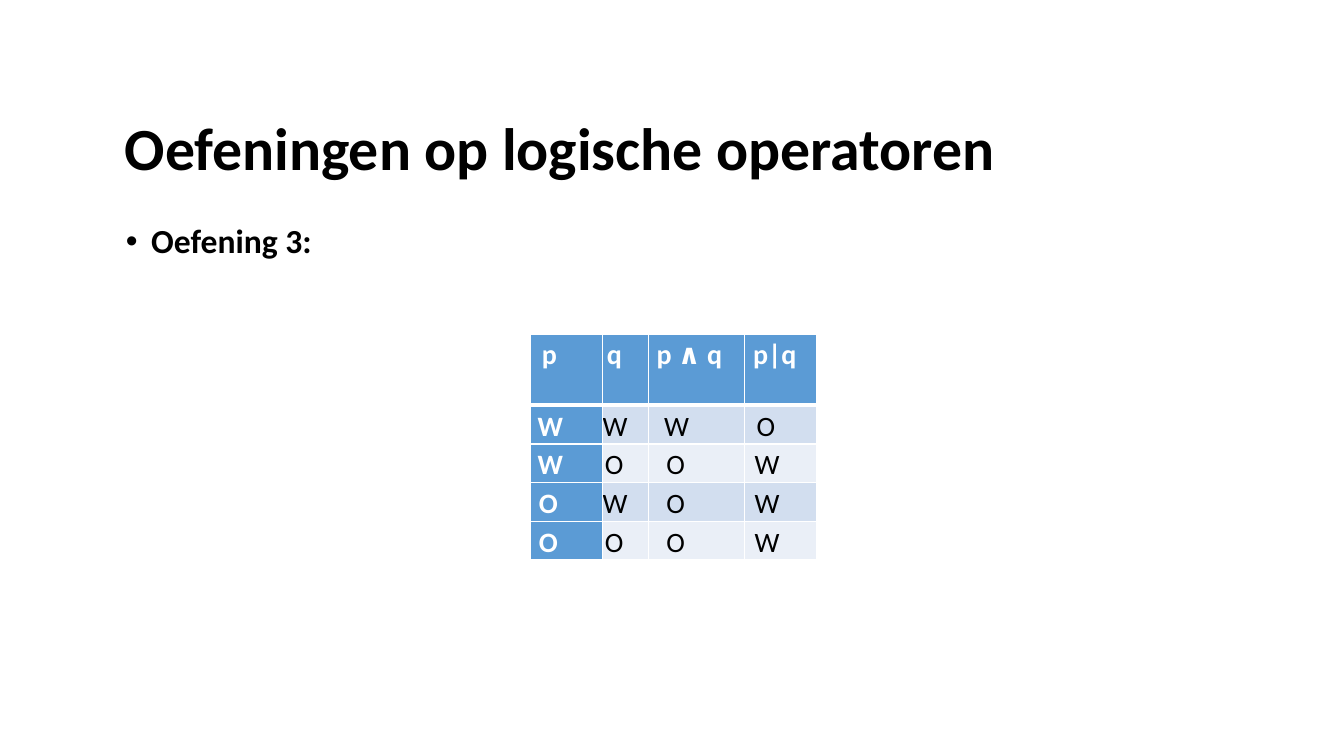
from lxml.etree import SubElement
from pptx import Presentation
from pptx.dml.color import RGBColor
from pptx.enum.text import MSO_ANCHOR, PP_ALIGN
from pptx.oxml.ns import qn
from pptx.util import Pt

BLUE, BAND, PALE, WHITE, BLACK = "5B9BD5", "D2DEEF", "EAEFF7", "FFFFFF", "000000"
ROWS = [
    ["p", "q", "p ∧ q", "p|q"],
    ["W", "W", "W", "O"],
    ["W", "O", "O", "W"],
    ["O", "W", "O", "W"],
    ["O", "O", "O", "W"],
]
HEADER_INDENTS = [8, 3, 6, 6]
INDENTS = {"W": [5, 0, 11.5, 7], "O": [6, 1.5, 13, 8.5]}
COL_WIDTHS = [51.5, 32.5, 69, 51]
HEADER_HEIGHT, ROW_HEIGHT = 51, 25.2


def rgb(color):
    return RGBColor.from_string(color)


def set_attrs(obj, values):
    for name, value in values.items():
        setattr(obj, name, value)


def write(p, text, size, color, bold, spacing):
    p.line_spacing = spacing
    r = p.add_run()
    r.text = text
    set_attrs(r.font, {"name": "Calibri", "size": Pt(size), "bold": bold})
    r.font.color.rgb = rgb(color)


def place(sp, box):
    set_attrs(sp, dict(zip(("left", "top", "width", "height"), map(Pt, box))))


def add_title(s, box):
    sp = s.shapes.title
    place(sp, box)
    tf = sp.text_frame
    set_attrs(tf, {"vertical_anchor": MSO_ANCHOR.MIDDLE, "word_wrap": True,
                   "margin_left": Pt(5.5), "margin_top": Pt(0), "margin_bottom": Pt(3.6)})
    p = tf.paragraphs[0]
    p.alignment = PP_ALIGN.LEFT
    write(p, "Oefeningen op logische operatoren", 42.7, BLACK, True, 0.9)


def add_body(s, box):
    sp = s.placeholders[1]
    place(sp, box)
    tf = sp.text_frame
    set_attrs(tf, {"vertical_anchor": MSO_ANCHOR.TOP, "word_wrap": True, "margin_left": Pt(6.5)})
    p = tf.paragraphs[0]
    p.space_before = Pt(10)
    write(p, "Oefening 3:", 24, BLACK, True, 0.9)
    pPr = p._p.get_or_add_pPr()
    pPr.set("marL", str(Pt(18)))
    pPr.set("indent", str(-Pt(18)))
    SubElement(pPr, qn("a:buFont"), typeface="Arial")
    SubElement(pPr, qn("a:buChar"), char="•")


def add_borders(cell, widths):
    tcPr = cell._tc.get_or_add_tcPr()
    for side, width in widths.items():
        ln = SubElement(tcPr, qn(f"a:ln{side}"), w=str(Pt(width)))
        fill = SubElement(ln, qn("a:solidFill"))
        SubElement(fill, qn("a:srgbClr"), val=WHITE)


def fill_cell(cell, row, col, text):
    header = row == 0
    strong = header or col == 0
    add_borders(cell, {"L": 1, "R": 1, "T": 3 if row == 1 else 1, "B": 3 if header else 1})
    cell.fill.solid()
    cell.fill.fore_color.rgb = rgb(BLUE if strong else BAND if row % 2 else PALE)
    set_attrs(cell, {"margin_left": Pt(0), "margin_top": Pt(1.4), "margin_right": Pt(5),
                     "margin_bottom": Pt(0), "vertical_anchor": MSO_ANCHOR.TOP})
    p = cell.text_frame.paragraphs[0]
    justified = col == 2 if header else col in (1, 3)
    p.alignment = PP_ALIGN.JUSTIFY if justified else PP_ALIGN.LEFT
    indent = HEADER_INDENTS[col] if header else INDENTS[text][col]
    p._p.get_or_add_pPr().set("marL", str(Pt(indent)))
    write(p, text, 20, WHITE if strong else BLACK, strong, 1.07)


def add_truth_table(s, left, top):
    height = HEADER_HEIGHT + ROW_HEIGHT * (len(ROWS) - 1)
    box = map(Pt, (left, top, sum(COL_WIDTHS), height))
    table = s.shapes.add_table(len(ROWS), len(COL_WIDTHS), *box).table
    table.first_col = True
    for column, width in zip(table.columns, COL_WIDTHS):
        column.width = Pt(width)
    for i, texts in enumerate(ROWS):
        table.rows[i].height = Pt(ROW_HEIGHT if i else HEADER_HEIGHT)
        for j, text in enumerate(texts):
            fill_cell(table.cell(i, j), i, j, text)


def main():
    prs = Presentation()
    set_attrs(prs, {"slide_width": Pt(960), "slide_height": Pt(540)})
    s = prs.slides.add_slide(prs.slide_layouts[1])
    add_body(s, (83.5, 157, 864, 291.6))
    add_title(s, (83.5, 77.8, 812, 64))
    add_truth_table(s, 379, 238.5)
    prs.save("out.pptx")


if __name__ == "__main__":
    main()
